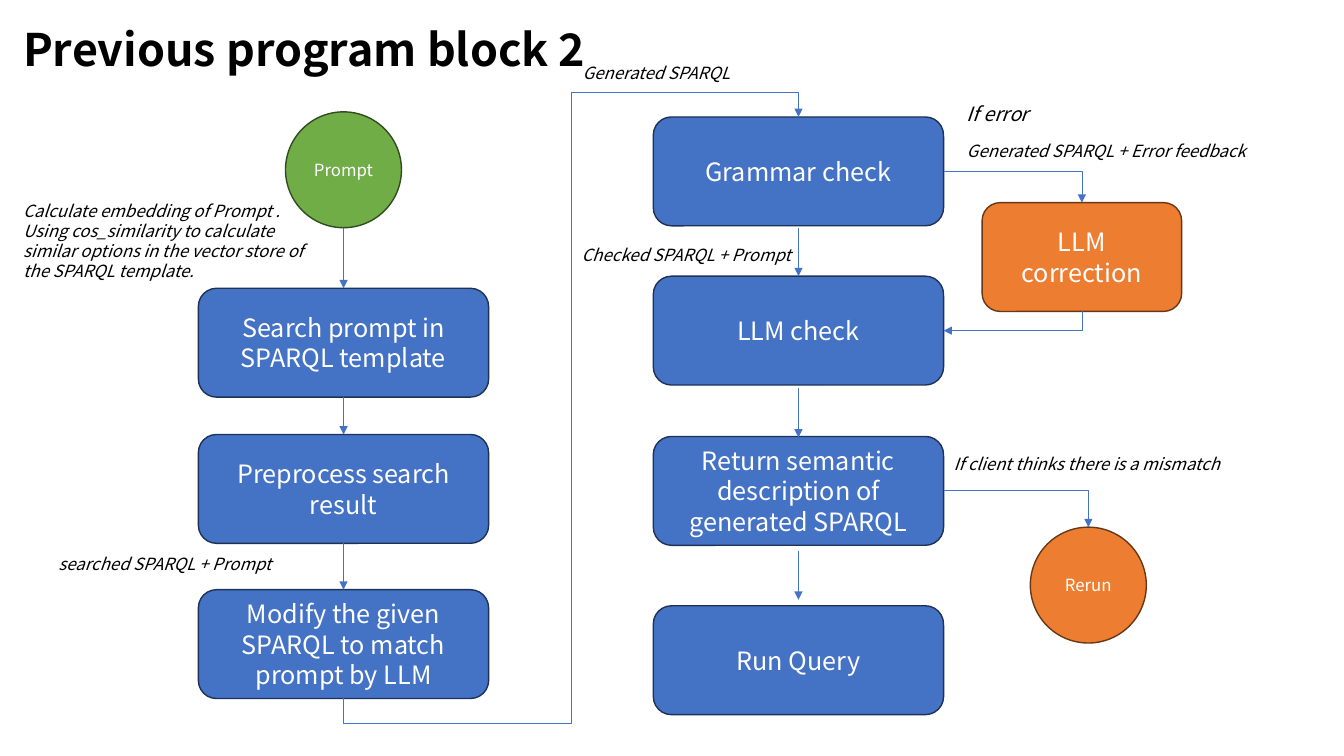
"""Build the flowchart slide of the second program block."""
from dataclasses import dataclass

from lxml.etree import SubElement
from pptx import Presentation
from pptx.dml.color import RGBColor
from pptx.enum.shapes import MSO_CONNECTOR, MSO_SHAPE
from pptx.enum.text import MSO_ANCHOR, PP_ALIGN
from pptx.oxml.ns import qn
from pptx.util import Inches, Pt

FONT = "Noto Sans CJK SC"
LINE_HEIGHT = 1.2
WHITE = RGBColor(0xFF, 0xFF, 0xFF)
BLACK = RGBColor(0x00, 0x00, 0x00)
BLUE = RGBColor(0x44, 0x72, 0xC4)
GREEN = RGBColor(0x70, 0xAD, 0x47)
ORANGE = RGBColor(0xED, 0x7D, 0x31)
EDGES = {
    BLUE: RGBColor(0x1E, 0x32, 0x56),
    GREEN: RGBColor(0x31, 0x4C, 0x1F),
    ORANGE: RGBColor(0x68, 0x37, 0x15),
}
LEFT, RIGHT, FIX, RERUN = 25.56, 59.41, 80.5, 80.98
TOP_SITE, BOTTOM_SITE, RIGHT_SITE = 0, 2, 3

prs = Presentation()
prs.slide_width, prs.slide_height = Inches(13.33), Inches(7.5)
s = prs.slides.add_slide(prs.slide_layouts[6])


@dataclass
class Node:
    """A flowchart step, in percent of the slide, placed by its centre and top."""
    text: str
    center: float
    top: float
    fill: RGBColor = BLUE
    width: float = 21.6
    height: float = 14.4
    size: int = 18
    kind: MSO_SHAPE = MSO_SHAPE.ROUNDED_RECTANGLE


@dataclass
class Note:
    """Free text, in percent of the slide."""
    lines: list
    left: float
    top: float
    width: float = 22.58
    height: float = 4
    size: int = 12
    bold: bool = False
    italic: bool = True


@dataclass
class Link:
    """An arrow between two named steps; a turned one leaves vertically."""
    begin: str
    begin_site: int
    end: str
    end_site: int
    preset: str = "line"
    turned: bool = False
    adjust: tuple = ()


def across(percent: float) -> int:
    """Convert a share of the slide's width."""
    return round(prs.slide_width * percent / 100)


def down(percent: float) -> int:
    """Convert a share of the slide's height."""
    return round(prs.slide_height * percent / 100)


def write(tf, lines: list, align: PP_ALIGN, **fmt) -> None:
    """Fill a text frame, one paragraph for each line."""
    tf.word_wrap = True
    for i, line in enumerate(lines):
        p = tf.paragraphs[0] if i == 0 else tf.add_paragraph()
        p.alignment = align
        p.line_spacing = Pt(fmt["size"] * LINE_HEIGHT)
        r = p.add_run()
        r.text = line
        r.font.color.rgb = fmt["color"]
        for name in ("size", "bold", "italic"):
            value = fmt.get(name, False)
            setattr(r.font, name, Pt(value) if name == "size" else value)
        r.font.name = FONT


def draw_node(node: Node):
    """Draw a filled step and return its shape."""
    sp = s.shapes.add_shape(node.kind, across(node.center - node.width / 2), down(node.top),
                            across(node.width), down(node.height))
    sp.shadow.inherit = False
    sp.fill.solid()
    sp.fill.fore_color.rgb = node.fill
    sp.line.color.rgb = EDGES[node.fill]
    sp.line.width = Pt(1)
    sp.text_frame.vertical_anchor = MSO_ANCHOR.MIDDLE
    write(sp.text_frame, [node.text], PP_ALIGN.CENTER, size=node.size, color=WHITE)
    return sp


def draw_note(note: Note) -> None:
    """Draw a text box."""
    sp = s.shapes.add_textbox(across(note.left), down(note.top),
                              across(note.width), down(note.height))
    write(sp.text_frame, note.lines, PP_ALIGN.LEFT, size=note.size, color=BLACK,
          bold=note.bold, italic=note.italic)


def arrow(kind: MSO_CONNECTOR, *ends: int):
    """Draw a thin connector with a triangle at its end."""
    cx = s.shapes.add_connector(kind, *ends)
    cx.line.color.rgb = BLUE
    cx.line.width = Pt(0.5)
    SubElement(cx.line._get_or_add_ln(), qn("a:tailEnd"), type="triangle")
    SubElement(cx._element.spPr, qn("a:effectLst"))
    return cx


def draw_link(link: Link, shapes: dict) -> None:
    """Glue an arrow to two steps and give it its bends."""
    straight = link.preset == "line"
    cx = arrow(MSO_CONNECTOR.STRAIGHT if straight else MSO_CONNECTOR.ELBOW, 0, 0, 0, 0)
    cx.begin_connect(shapes[link.begin], link.begin_site)
    cx.end_connect(shapes[link.end], link.end_site)
    if straight:
        return
    geom = cx._element.spPr.find(qn("a:prstGeom"))
    geom.set("prst", link.preset)
    guides = geom.find(qn("a:avLst"))
    if guides is None:
        guides = SubElement(geom, qn("a:avLst"))
    for i, value in enumerate(link.adjust, 1):
        SubElement(guides, qn("a:gd"), name=f"adj{i}", fmla=f"val {value}")
    if link.turned:
        dx, dy = cx.end_x - cx.begin_x, cx.end_y - cx.begin_y
        mid_x, mid_y = cx.begin_x + dx // 2, cx.begin_y + dy // 2
        cx.width, cx.height = abs(dy), abs(dx)
        cx.left, cx.top = mid_x - abs(dy) // 2, mid_y - abs(dx) // 2
        turn = {"rot": 90 * 60000, "flipH": int(dy < 0), "flipV": int(dx > 0)}
        for name, value in turn.items():
            cx._element.spPr.find(qn("a:xfrm")).set(name, str(value))


CIRCLE = {"width": 8.63, "height": 15.33, "size": 12, "kind": MSO_SHAPE.OVAL}
NODES = {
    "prompt": Node("Prompt", LEFT, 14.8, GREEN, **CIRCLE),
    "search": Node("Search prompt in SPARQL template", LEFT, 38.13),
    "preprocess": Node("Preprocess search result", LEFT, 57.47),
    "modify": Node("Modify the given SPARQL to match prompt by LLM", LEFT, 78),
    "grammar": Node("Grammar check", RIGHT, 15.47),
    "check": Node("LLM check", RIGHT, 36.53),
    "describe": Node("Return semantic description of generated SPARQL", RIGHT, 57.73),
    "run": Node("Run Query", RIGHT, 80.13),
    "correct": Node("LLM correction", FIX, 26.8, ORANGE, width=14.85),
    "rerun": Node("Rerun", RERUN, 69.73, ORANGE, **CIRCLE),
}
LINKS = [
    Link("search", BOTTOM_SITE, "preprocess", TOP_SITE),
    Link("preprocess", BOTTOM_SITE, "modify", TOP_SITE),
    Link("modify", BOTTOM_SITE, "grammar", TOP_SITE, "bentConnector5", True,
         (-4300, 50000, 104300)),
    Link("grammar", RIGHT_SITE, "correct", TOP_SITE, "bentConnector2"),
    Link("correct", BOTTOM_SITE, "check", RIGHT_SITE, "bentConnector2", True),
    Link("describe", RIGHT_SITE, "rerun", TOP_SITE, "bentConnector2"),
]
DROPS = [(LEFT, 30.13, 38.13), (RIGHT, 30.13, 36.53),
         (RIGHT, 51.33, 57.87), (RIGHT, 72.93, 79.33)]
NOTES = [
    Note(["Previous program block 2"], 0.98, 2.27, 46.44, 8.53, 32, True, False),
    Note(["If error"], 71.19, 12.8, 11.4, 4.53, 14),
    Note(["Checked SPARQL + Prompt"], 42.53, 31.73),
    Note(["If client thinks there is a mismatch"], 70.22, 59.33),
    Note(["searched SPARQL + Prompt"], 3.6, 72.53),
    Note(["Generated SPARQL"], 42.61, 7.6, 50.19),
    Note(["Generated SPARQL + Error feedback"], 71.19, 18),
    Note(["Calculate embedding of Prompt .",
          "Using cos_similarity to calculate similar options in the vector store of "
          "the SPARQL template."], 0.98, 25.87, height=12.13),
]

steps = {name: draw_node(node) for name, node in NODES.items()}
for item in LINKS:
    draw_link(item, steps)
for x, start, stop in DROPS:
    arrow(MSO_CONNECTOR.STRAIGHT, across(x), down(start), across(x), down(stop))
for item in NOTES:
    draw_note(item)
prs.save("out.pptx")
